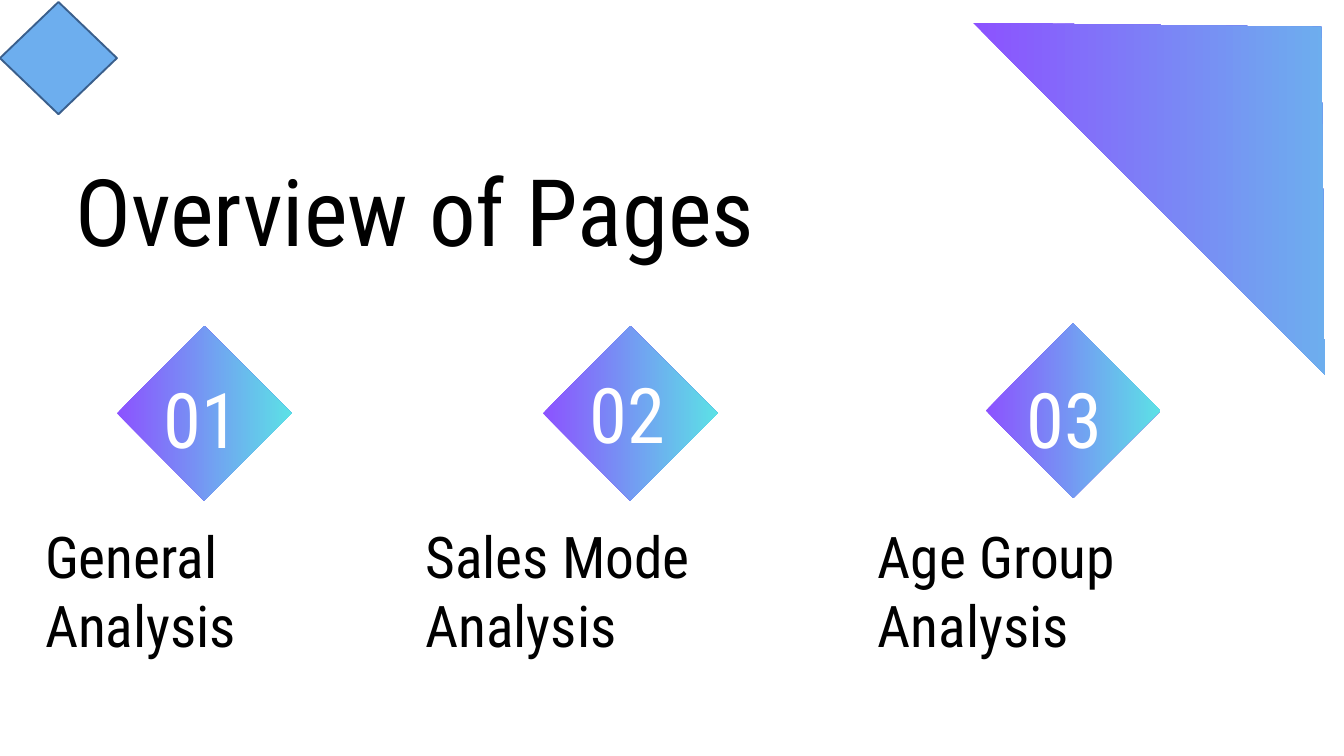
from pptx import Presentation
from pptx.dml.color import RGBColor
from pptx.enum.shapes import MSO_SHAPE as Preset
from pptx.enum.text import MSO_ANCHOR as Anchor, PP_ALIGN as Align
from pptx.util import Inches, Pt

WIDTH, HEIGHT = 20, 11.25
FONT = "Roboto Condensed"
COLORS = {
    "text": "000000",
    "number": "FFFFFF",
    "purple": "8C52FF",
    "cyan": "5CE1E6",
    "blue": "6DAEEE",
    "outline": "3A5F8C",
}
STYLES = {
    "title": (99.7, "text"),
    "number": (82.1, "number"),
    "label": (61.6, "text"),
}
LINE_RATIO = 1.2

TITLE = ("Overview of Pages", (1.12, 2.28, 10.41, 1.59))
DIAMOND_SIZE = 2.6
NUMBER_SIZE = (1.52, 1.38)
LABEL_TOP, LABEL_HEIGHT = 7.76, 0.98
PAGES = [
    {"number": "01", "label": "General Analysis", "diamond": (1.74, 4.85),
     "number_at": (2.44, 5.53), "label_left": 0.67, "label_width": 5.5},
    {"number": "02", "label": "Sales Mode Analysis", "diamond": (8.08, 4.85),
     "number_at": (8.77, 5.46), "label_left": 6.33, "label_width": 6.4},
    {"number": "03", "label": "Age Group Analysis", "diamond": (14.67, 4.81),
     "number_at": (15.28, 5.53), "label_left": 13.06, "label_width": 6.17},
]
CORNER_TRIANGLE = [(14.48, 0.34), (19.66, 0.4), (19.72, 5.58)]
CORNER_DIAMOND = (0, 0.03, 1.74, 1.67)


def color(name):
    return RGBColor.from_string(COLORS[name])


def fill_gradient(shape, start, end):
    shape.shadow.inherit = False
    shape.line.fill.background()
    shape.fill.gradient()
    shape.fill.gradient_angle = 0
    for stop, name, position in zip(shape.fill.gradient_stops, (start, end), (0, 1)):
        stop.color.rgb = color(name)
        stop.position = position


def add_diamond(slide, box):
    return slide.shapes.add_shape(Preset.DIAMOND, *map(Inches, box))


def add_text(slide, text, box, style):
    size, color_name = STYLES[style]
    frame = slide.shapes.add_textbox(*map(Inches, box)).text_frame
    frame.word_wrap = True
    frame.vertical_anchor = Anchor.TOP
    frame.margin_left = frame.margin_right = 0
    frame.margin_top = frame.margin_bottom = 0
    paragraph = frame.paragraphs[0]
    paragraph.alignment = Align.LEFT
    paragraph.line_spacing = Pt(size * LINE_RATIO)
    run = paragraph.add_run()
    run.text = text
    run.font.name = FONT
    run.font.size = Pt(size)
    run.font.color.rgb = color(color_name)


def add_corners(slide):
    first, *others = [tuple(map(Inches, point)) for point in CORNER_TRIANGLE]
    builder = slide.shapes.build_freeform(*first)
    builder.add_line_segments(others, close=True)
    fill_gradient(builder.convert_to_shape(), "purple", "blue")

    diamond = add_diamond(slide, CORNER_DIAMOND)
    diamond.shadow.inherit = False
    diamond.fill.solid()
    diamond.fill.fore_color.rgb = color("blue")
    diamond.line.color.rgb = color("outline")
    diamond.line.width = Pt(2)


def add_page(slide, page):
    diamond = add_diamond(slide, (*page["diamond"], DIAMOND_SIZE, DIAMOND_SIZE))
    fill_gradient(diamond, "purple", "cyan")
    add_text(slide, page["number"], (*page["number_at"], *NUMBER_SIZE), "number")
    label_box = (page["label_left"], LABEL_TOP, page["label_width"], LABEL_HEIGHT)
    add_text(slide, page["label"], label_box, "label")


def main():
    presentation = Presentation()
    presentation.slide_width = Inches(WIDTH)
    presentation.slide_height = Inches(HEIGHT)
    slide = presentation.slides.add_slide(presentation.slide_layouts[6])
    add_text(slide, *TITLE, "title")
    for page in PAGES:
        add_page(slide, page)
    add_corners(slide)
    presentation.save("out.pptx")


if __name__ == "__main__":
    main()
